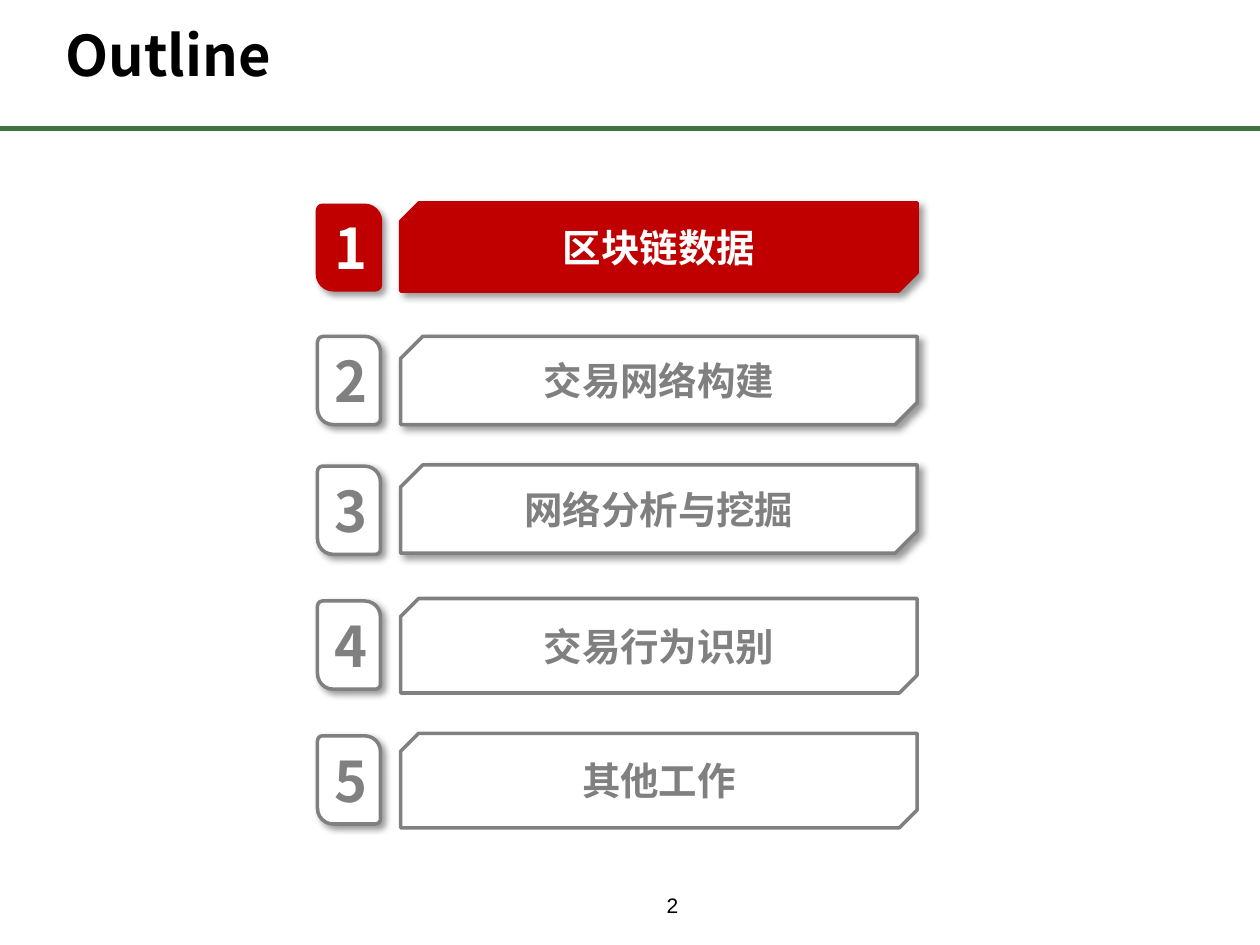
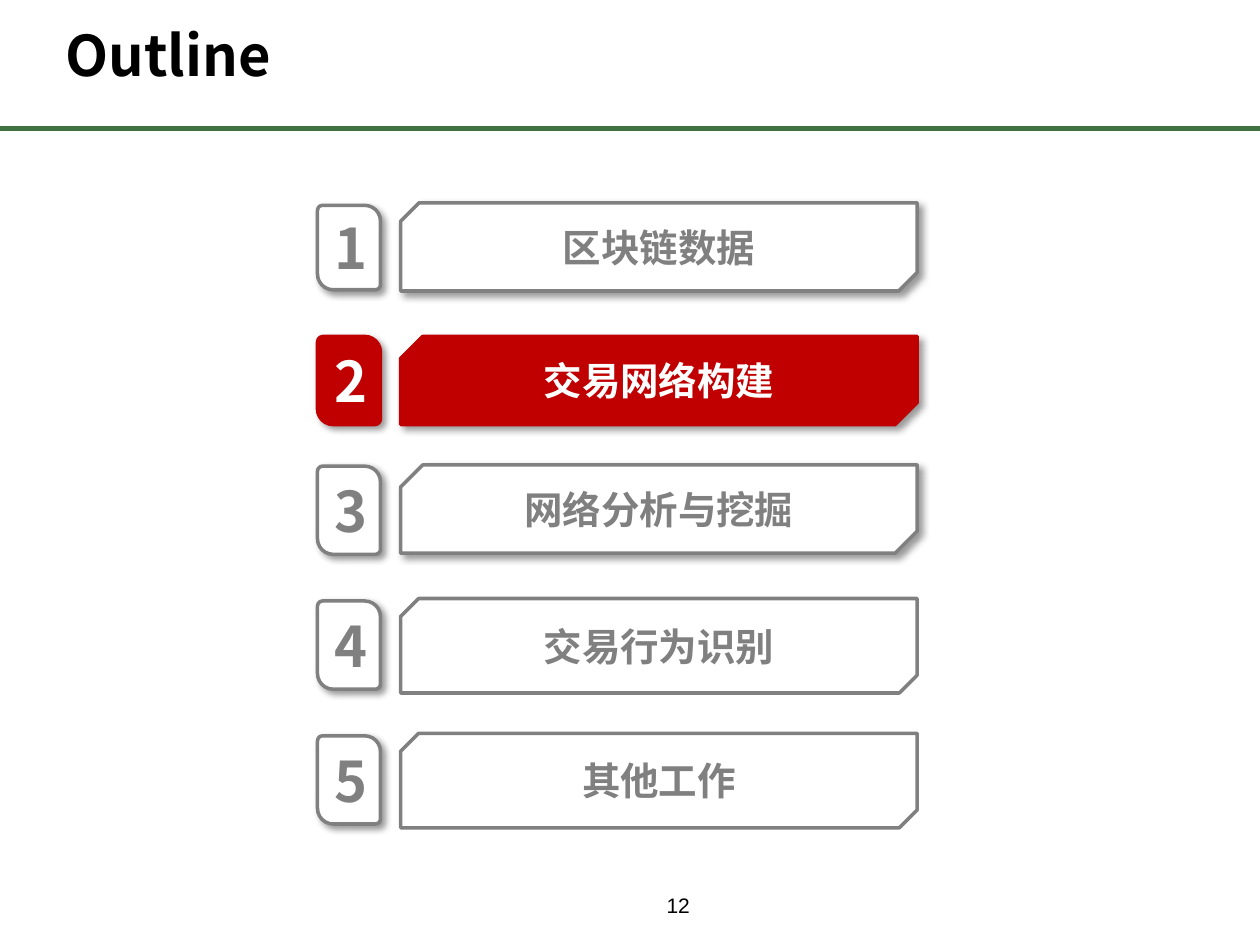
from collections import namedtuple

from lxml import etree
from pptx import Presentation
from pptx import util as u
from pptx.dml.color import RGBColor
from pptx.enum import shapes, text
from pptx.oxml.ns import qn

PX = 9144
COLORS = {"ink": "000000", "rule": "3F7141", "active": "C00000", "quiet": "808080", "paper": "FFFFFF"}
HEADING_FONT = "Noto Sans CJK SC"
PAGE_FONT = "Arial"

Section = namedtuple("Section", "name bar_top bar_height snip badge_top badge_height corner raised")
SECTIONS = [
    Section("区块链数据", 161, 70, 0.21, 163, 67, 0.08, True),
    Section("交易网络构建", 267, 70, 0.25, 267, 70, 0.09, True),
    Section("网络分析与挖掘", 369, 70, 0.25, 370, 70, 0.08, True),
    Section("交易行为识别", 475, 75, 0.19, 477, 70, 0.08, False),
    Section("其他工作", 582, 75, 0.19, 584, 70, 0.08, False),
]
BADGE_LEFT, BADGE_WIDTH = 252, 50
BAR_LEFT, BAR_WIDTH = 318, 410


def rgb(color):
    return RGBColor.from_string(COLORS[color])


def write(frame, words, size, color="ink", font=HEADING_FONT, bold=True,
          align=text.PP_ALIGN.LEFT, anchor=text.MSO_ANCHOR.MIDDLE, leading=None):
    frame.word_wrap = True
    frame.auto_size = text.MSO_AUTO_SIZE.NONE
    frame.vertical_anchor = anchor
    paragraph = frame.paragraphs[0]
    paragraph.alignment = align
    if leading:
        paragraph.line_spacing = u.Pt(leading)
    run = paragraph.add_run()
    run.text = words
    run.font.size = u.Pt(size)
    run.font.bold = bold
    run.font.name = font
    run.font.color.rgb = rgb(color)
    etree.SubElement(run.font._element, qn("a:ea"), typeface=font)


class OutlineDeck:
    """Holds the outline style and the slide being built."""

    def __init__(self):
        self.deck = Presentation()
        self.deck.slide_width = 1000 * PX
        self.deck.slide_height = 750 * PX
        self.slide = None

    def start_slide(self, title, page):
        self.slide = self.deck.slides.add_slide(self.deck.slide_layouts[5])
        self.rule(102)
        self.title(title)
        self.page_number(page)

    def rule(self, y):
        rule = self.slide.shapes.add_connector(
            shapes.MSO_CONNECTOR.STRAIGHT, 0, y * PX, 1000 * PX, y * PX)
        rule.line.color.rgb = rgb("rule")
        rule.line.width = u.Pt(3)
        etree.SubElement(rule._element.spPr, qn("a:effectLst"))

    def title(self, words):
        heading = self.slide.shapes.title
        heading.left, heading.top, heading.width, heading.height = (
            n * PX for n in (42, 17, 906, 58))
        write(heading.text_frame, words, 32, anchor=text.MSO_ANCHOR.BOTTOM, leading=36)

    def page_number(self, page):
        footer = self.slide.shapes.add_textbox(529 * PX, 700 * PX, 100 * PX, 28 * PX)
        frame = footer.text_frame
        frame.margin_left = frame.margin_right = frame.margin_top = frame.margin_bottom = 0
        write(frame, str(page), 12, font=PAGE_FONT, bold=False,
              anchor=text.MSO_ANCHOR.BOTTOM, leading=20)

    def cast_shadow(self, panel):
        effects = panel._element.spPr.find(qn("a:effectLst"))
        shadow = etree.SubElement(
            effects, qn("a:outerShdw"), blurRad=str(u.Pt(4)), dist=str(u.Pt(3)),
            dir="2700000", algn="tl", rotWithShape="0")
        tint = etree.SubElement(shadow, qn("a:srgbClr"), val=COLORS["ink"])
        etree.SubElement(tint, qn("a:alpha"), val="40000")

    def panel(self, preset, box, corners, words, size, active, raised=True):
        panel = self.slide.shapes.add_shape(preset, *(n * PX for n in box))
        panel.adjustments[0], panel.adjustments[1] = corners
        panel.fill.solid()
        panel.fill.fore_color.rgb = rgb("active" if active else "paper")
        panel.line.color.rgb = rgb("active" if active else "quiet")
        panel.line.width = u.Pt(2)
        panel.shadow.inherit = False
        if raised:
            self.cast_shadow(panel)
        write(panel.text_frame, words, size, color="paper" if active else "quiet",
              align=text.PP_ALIGN.CENTER)

    def section(self, number, section, active):
        preset = shapes.MSO_SHAPE
        self.panel(preset.SNIP_2_DIAG_RECTANGLE,
                   (BAR_LEFT, section.bar_top, BAR_WIDTH, section.bar_height),
                   (section.snip, 0), section.name, 22, active, section.raised)
        self.panel(preset.ROUND_2_DIAG_RECTANGLE,
                   (BADGE_LEFT, section.badge_top, BADGE_WIDTH, section.badge_height),
                   (section.corner, 0.25), str(number), 32, active)


def main():
    outline = OutlineDeck()
    for current, page in ((1, 2), (2, 12)):
        outline.start_slide("Outline", page)
        for number, section in enumerate(SECTIONS, 1):
            outline.section(number, section, number == current)
    outline.deck.save("out.pptx")


if __name__ == "__main__":
    main()
